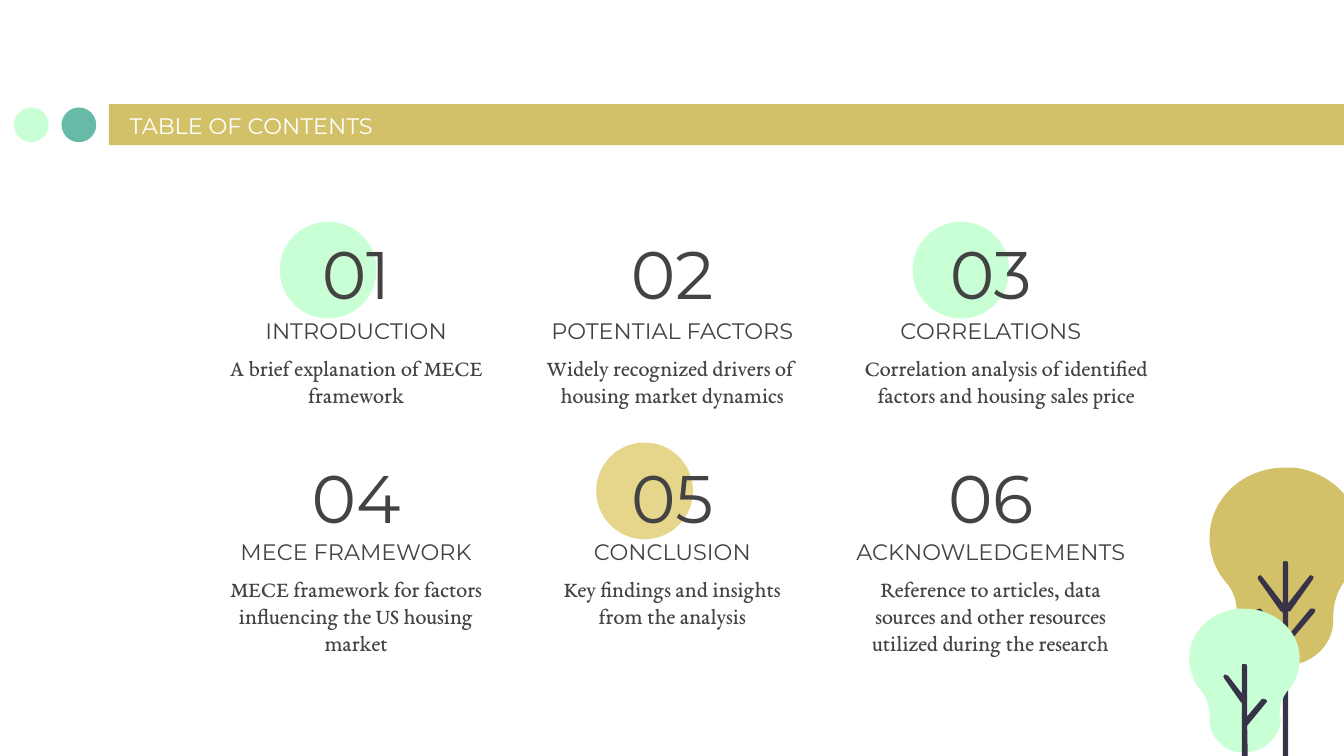
from lxml import etree
from pptx import Presentation
from pptx.dml.color import RGBColor
from pptx.enum import shapes, text
from pptx.oxml import ns
from pptx.util import Pt

WHITE = RGBColor(0xFF, 0xFF, 0xFF)
GOLD = RGBColor(0xD3, 0xC1, 0x69)
PALE_GOLD = RGBColor(0xE6, 0xD6, 0x8C)
TEAL = RGBColor(0x65, 0xBB, 0xA5)
MINT = RGBColor(0xC9, 0xFF, 0xD5)
INK = RGBColor(0x43, 0x43, 0x43)
BARK = RGBColor(0x37, 0x34, 0x49)

SANS = "Montserrat"
SERIF = "EB Garamond"

# Contents grid, in points
CENTRES = (190.8, 360.2, 530.8)
NUMBER_TOPS = (123.1, 243.4)
HEADING_TOPS = (146.2, 264.6)
DETAIL_TOPS = (182.4, 300.8)
CIRCLE_TOPS = (118.8, 237.1)
CIRCLE_LEFT, CIRCLE_STEP = 149.9, 169.5

# Number, heading, detail, circle colour, extra width of the detail
SECTIONS = [
    ("01", "INTRODUCTION", "A brief explanation of MECE framework", MINT, 0),
    ("02", "POTENTIAL FACTORS",
     "Widely recognized drivers of  housing market dynamics", None, 0),
    ("03", "CORRELATIONS",
     "Correlation analysis of identified factors and housing sales price", MINT, 16.6),
    ("04", "MECE FRAMEWORK",
     "MECE framework for factors influencing the US housing market", None, 0),
    ("05", "CONCLUSION", "Key findings and insights from the analysis", PALE_GOLD, 0),
    ("06", "ACKNOWLEDGEMENTS",
     "Reference to articles, data sources and other resources utilized during the research",
     None, 0),
]

# Tree outlines on a grid of UNIT points: two numbers make a corner, six a Bezier curve
UNIT = 0.72
GOLD_CROWN = [
    (956, 348), (925, 348, 900, 371, 900, 400), (900, 412, 904, 424, 912, 433),
    (918, 440, 921, 449, 920, 458), (920, 459, 920, 461, 920, 463),
    (920, 481, 937, 495, 956, 495), (956, 495, 957, 495, 957, 495),
    (976, 495, 992, 480, 992, 462), (992, 460),
    (992, 449, 995, 439, 1001, 432), (1010, 421, 1014, 407, 1012, 394),
    (1009, 370, 988, 351, 963, 348), (960, 348, 958, 348, 956, 348),
]
GOLD_TRUNK = [
    (956.5, 417.5), (955, 417.5, 954.5, 418, 954.5, 419), (954.5, 449), (939, 429),
    (939, 428, 938, 428, 938, 428), (936, 428, 935, 430, 936, 431), (953, 455),
    (953, 455, 954, 455, 954.5, 456), (954.5, 473), (938, 453),
    (938, 453, 937, 453, 937, 453), (935, 453, 934, 454, 935, 456),
    (954.5, 479), (954.5, 584),
    (954.5, 585, 955, 586, 956.5, 586), (958, 586, 958.5, 585, 958.5, 584),
    (958.5, 479), (978, 456),
    (979, 455, 979, 454, 978, 453), (977, 453, 977, 453, 976, 453),
    (976, 453, 975, 453, 975, 453), (958.5, 473), (958.5, 455),
    (959, 455, 959, 455, 960, 455), (977, 431),
    (978, 429, 977, 428, 975, 428), (975, 428, 974, 428, 974, 429),
    (958.5, 449), (958.5, 419), (958.5, 418, 958, 417.5, 956.5, 417.5),
]
MINT_CROWN = [
    (926, 453), (924, 453, 923, 453, 921, 453), (902, 455, 887, 469, 885, 486),
    (884, 496, 887, 506, 893, 513), (898, 519, 900, 526, 900, 534), (900, 535),
    (900, 549, 911, 560, 926, 560), (926, 560, 926, 560, 926, 560),
    (940, 560, 952, 549, 953, 536),
    (953, 535, 953, 533, 952, 532), (952, 526, 954, 519, 958, 514),
    (964, 508, 967, 499, 967, 490), (967, 469, 948, 453, 926, 453),
]
MINT_TRUNK = [
    (926, 494), (925, 494, 923, 494, 924, 496), (924, 516), (914, 503),
    (913, 502, 913, 502, 912, 502), (912, 502, 911, 502, 911, 502),
    (910, 503, 910, 504, 911, 505), (923, 522), (923, 523, 924, 523, 924, 523),
    (924, 593), (924, 594, 925, 595, 926, 595), (927, 595, 928, 594, 929, 593),
    (928, 540), (942, 523),
    (944, 522, 942, 520, 940, 520), (940, 520, 939, 520, 939, 520),
    (928, 533), (928, 496), (928, 494, 927, 494, 926, 494),
]


def paint(shape, colour):
    shape.shadow.inherit = False
    shape.fill.solid()
    shape.fill.fore_color.rgb = colour
    shape.line.fill.background()


def add_block(page, kind, left, top, width, height, colour):
    shape = page.shapes.add_shape(kind, Pt(left), Pt(top), Pt(width), Pt(height))
    paint(shape, colour)


def add_circle(page, left, top, size, colour):
    add_block(page, shapes.MSO_SHAPE.OVAL, left, top, size, size, colour)


def add_label(page, words, left, top, width, height, font, size, colour,
              anchor, align=text.PP_ALIGN.CENTER):
    box = page.shapes.add_textbox(Pt(left), Pt(top), Pt(width), Pt(height))
    frame = box.text_frame
    frame.word_wrap = True
    frame.vertical_anchor = anchor
    frame.margin_left = frame.margin_right = Pt(7.2)
    frame.margin_top = frame.margin_bottom = Pt(7.2)
    para = frame.paragraphs[0]
    para.alignment = align
    span = para.add_run()
    span.text = words
    span.font.name = font
    span.font.size = Pt(size)
    span.font.color.rgb = colour


def add_outline(page, outline, colour):
    """Draw the outline through its end points, then bend the curved parts."""
    ends = [(Pt(part[-2] * UNIT), Pt(part[-1] * UNIT)) for part in outline]
    builder = page.shapes.build_freeform(*ends[0])
    builder.add_line_segments(ends[1:], close=True)
    shape = builder.convert_to_shape()
    paint(shape, colour)
    lines = list(shape._element.iter(ns.qn("a:lnTo")))
    for part, line in zip(outline[1:], lines):
        if len(part) == 2:
            continue
        curve = etree.Element(ns.qn("a:cubicBezTo"))
        for x, y in zip(part[::2], part[1::2]):
            etree.SubElement(curve, ns.qn("a:pt"), x=str(Pt(x * UNIT) - shape.left),
                             y=str(Pt(y * UNIT) - shape.top))
        line.getparent().replace(line, curve)


def add_section(page, index, number, heading, detail, circle, extra):
    row, column = divmod(index, 3)
    centre = CENTRES[column]
    if circle:
        add_circle(page, CIRCLE_LEFT + column * CIRCLE_STEP, CIRCLE_TOPS[row], 51.8, circle)
    add_label(page, number, centre - 69, NUMBER_TOPS[row], 138, 45.4,
              SANS, 36, INK, text.MSO_ANCHOR.MIDDLE)
    add_label(page, heading, centre - 91.5, HEADING_TOPS[row], 183, 45.4,
              SANS, 12, INK, text.MSO_ANCHOR.BOTTOM)
    add_label(page, detail, centre - 75, DETAIL_TOPS[row], 150 + extra, 48.2,
              SERIF, 12, INK, text.MSO_ANCHOR.TOP)


def main():
    deck = Presentation()
    deck.slide_width, deck.slide_height = Pt(720), Pt(405)
    page = deck.slides.add_slide(deck.slide_layouts[6])

    # Title bar
    add_block(page, shapes.MSO_SHAPE.RECTANGLE, 58.4, 55.8, 684, 22, GOLD)
    add_circle(page, 33, 57.6, 18.6, TEAL)
    add_circle(page, 7.5, 57.6, 18.6, MINT)
    add_label(page, "TABLE OF CONTENTS", 62.4, 57, 394.6, 24.5, SANS, 12, WHITE,
              text.MSO_ANCHOR.BOTTOM, text.PP_ALIGN.LEFT)

    # Six sections
    for index, section in enumerate(SECTIONS):
        add_section(page, index, *section)

    # Trees
    for outline, colour in ((GOLD_CROWN, GOLD), (GOLD_TRUNK, BARK),
                            (MINT_CROWN, MINT), (MINT_TRUNK, BARK)):
        add_outline(page, outline, colour)

    deck.save("out.pptx")


if __name__ == "__main__":
    main()
